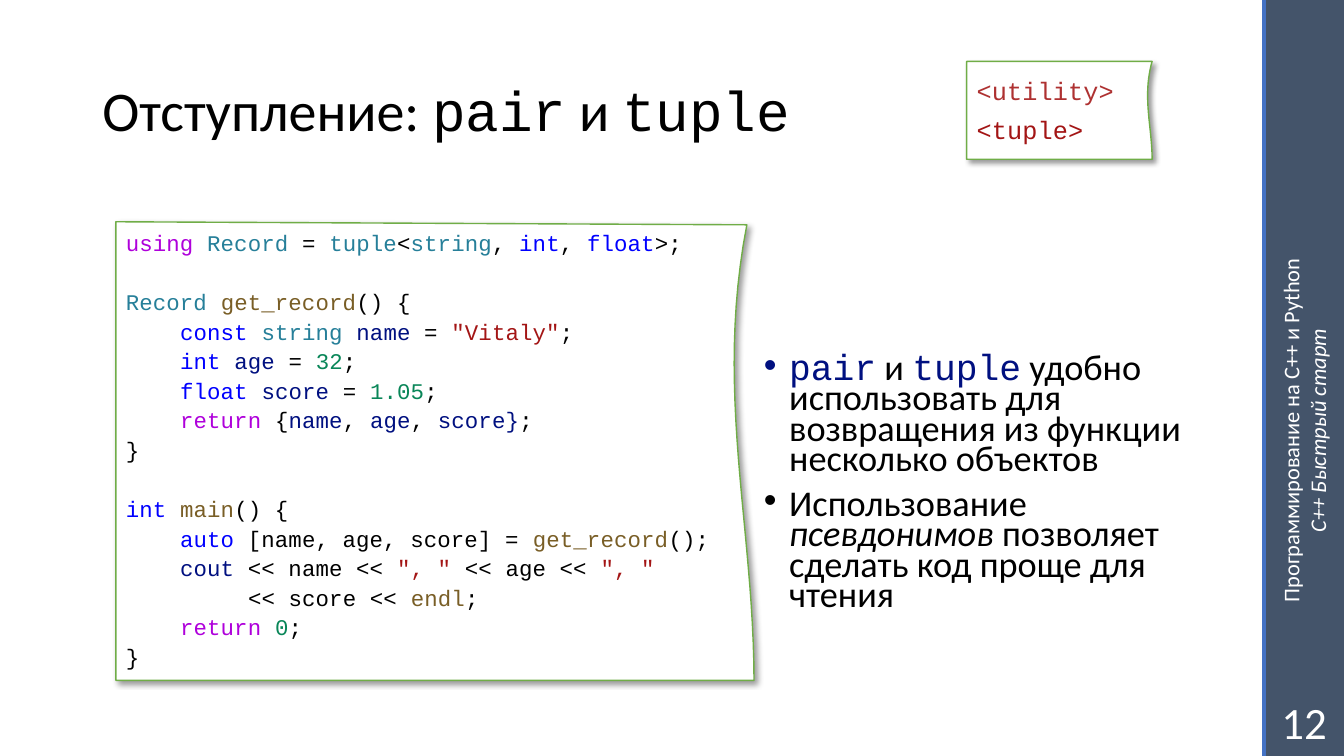
from dataclasses import dataclass

from lxml import etree
from pptx import Presentation
from pptx.dml.color import RGBColor
from pptx.enum.shapes import MSO_CONNECTOR, MSO_SHAPE
from pptx.enum.text import MSO_ANCHOR, PP_ALIGN
from pptx.oxml.ns import qn
from pptx.util import Pt

CENTER, LEFT = PP_ALIGN.CENTER, PP_ALIGN.LEFT
MIDDLE, TOP = MSO_ANCHOR.MIDDLE, MSO_ANCHOR.TOP
RECT, STRAIGHT = MSO_SHAPE.RECTANGLE, MSO_CONNECTOR.STRAIGHT


@dataclass(frozen=True)
class Theme:
    sans: str = "Calibri"
    mono: str = "Courier New"
    black: str = "000000"
    white: str = "FFFFFF"
    bar: str = "44546A"
    bar_edge: str = "4472C4"
    card_edge: str = "70AD47"
    control: str = "AF00DB"
    type: str = "267F99"
    keyword: str = "0000FF"
    function: str = "795E26"
    variable: str = "001080"
    literal: str = "A31515"
    header: str = "AE3131"
    number: str = "098658"
    title_size: float = 40
    number_size: float = 32
    body_size: float = 25.9
    header_size: float = 18
    code_size: float = 16
    side_size: float = 16
    tracking: float = 0.1


THEME = Theme()
SLIDE_W, SLIDE_H = 960, 540
BAR_X = 903
CURVE_STEPS = 24
MONO_ADVANCE, MONO_HEIGHT = 0.6, 1.2

TOKENS = {
    THEME.control: ["using", "return"],
    THEME.type: ["Record", "tuple", "string"],
    THEME.keyword: ["int", "float", "const", "auto"],
    THEME.function: ["get_record", "main", "endl"],
    THEME.variable: ["name", "age", "score", "score}", "cout"],
    THEME.literal: ['"Vitaly"', '", "', "<tuple>"],
    THEME.header: ["<utility>"],
    THEME.number: ["32", "1.05", "0"],
}
TOKEN_COLORS = {word: color for color, words in TOKENS.items() for word in words}

# Indent in characters, blank lines above, tokens separated by "|"
CODE = [
    (0, 0, "using |Record| = |tuple|<|string|, |int|, |float|>;"),
    (0, 1, "Record |get_record|() {"),
    (4, 0, 'const |string |name| = |"Vitaly"|;'),
    (4, 0, "int |age| = |32|;"),
    (4, 0, "float |score| = |1.05|;"),
    (4, 0, "return| {|name|, |age|, |score}|;"),
    (0, 0, "}"),
    (0, 1, "int |main|() {"),
    (4, 0, "auto| [name, age, score] = |get_record|();"),
    (4, 0, 'cout| << name << |", "| << age << |", "'),
    (9, 0, "<< score << |endl|;"),
    (4, 0, "return |0|;"),
    (0, 0, "}"),
]
HEADERS = [(0, 0, "<utility>"), (0, 0, "<tuple>")]

MONO = {"font": THEME.mono}
NAME = {"font": THEME.mono, "color": THEME.variable}
ITALIC = {"italic": True}
TITLE = [("Отступление: ", {}), ("pair", MONO), (" и ", {}), ("tuple", MONO)]
BULLETS = [
    [("pair", NAME), (" и ", {}), ("tuple", NAME),
     (" удобно использовать для возвращения из функции несколько объектов", {})],
    [("Использование ", {}), ("псевдонимов", ITALIC),
     (" позволяет сделать код проще для чтения", {})],
]
SIDE = [[("Программирование на C++ и Python", {})], [("C++ Быстрый старт", ITALIC)]]


def bezier(points, steps):
    """Points along a cubic curve, without its start."""
    a, b, c, d = points
    for i in range(1, steps + 1):
        t = i / steps
        u = 1 - t
        yield tuple(u**3 * p + 3 * u * u * t * q + 3 * u * t * t * r + t**3 * s
                    for p, q, r, s in zip(a, b, c, d))


class SlideBuilder:
    def __init__(self, slide, theme):
        self.slide, self.theme = slide, theme

    def bar(self, x, y, w, h):
        s = self.slide.shapes.add_shape(RECT, Pt(x), Pt(y), Pt(w), Pt(h))
        s.shadow.inherit = False
        s.fill.solid()
        s.fill.fore_color.rgb = RGBColor.from_string(self.theme.bar)
        s.line.fill.background()

    def line(self, x1, y1, x2, y2):
        s = self.slide.shapes.add_connector(STRAIGHT, Pt(x1), Pt(y1), Pt(x2), Pt(y2))
        s.line.color.rgb = RGBColor.from_string(self.theme.bar_edge)
        s.line.width = Pt(3)
        etree.SubElement(s._element.spPr, qn("a:effectLst"))

    def run(self, p, text, size, font=None, color=None, italic=False):
        r = p.add_run()
        r.text = text
        r.font.size = Pt(size)
        r.font.name = font or self.theme.sans
        r.font.color.rgb = RGBColor.from_string(color or self.theme.black)
        r.font.italic = italic
        return r

    def text(self, box, paragraphs, size, color=None, align=LEFT, anchor=TOP,
             spacing=1.0, rotation=0, bullets=False):
        s = self.slide.shapes.add_textbox(*map(Pt, box))
        s.rotation = rotation
        tf = s.text_frame
        tf.word_wrap = True
        tf.vertical_anchor = anchor
        for i, runs in enumerate(paragraphs):
            p = tf.add_paragraph() if i else tf.paragraphs[0]
            p.alignment = align
            p.line_spacing = spacing
            for text, style in runs:
                self.run(p, text, size, **{"color": color, **style})
            if bullets:
                p.space_before = Pt(10)
                self.bullet(p)

    def bullet(self, p):
        pPr = p._p.get_or_add_pPr()
        pPr.set("marL", str(Pt(18)))
        pPr.set("indent", str(-Pt(18)))
        etree.SubElement(pPr, qn("a:buFont"), typeface="Arial")
        etree.SubElement(pPr, qn("a:buChar"), char="•")

    def code_card(self, corner, side, lines, size, spacing):
        """White card whose right side is the cubic curve given by side."""
        left, top = corner
        bottom = side[-1][1]
        outline = [side[0], *bezier(side, CURVE_STEPS), (left, bottom)]
        builder = self.slide.shapes.build_freeform(Pt(left), Pt(top))
        builder.add_line_segments([(Pt(x), Pt(y)) for x, y in outline], close=True)
        s = builder.convert_to_shape()
        s.fill.solid()
        s.fill.fore_color.rgb = RGBColor.from_string(self.theme.white)
        s.line.color.rgb = RGBColor.from_string(self.theme.card_edge)
        s.line.width = Pt(1)
        self.drop_shadow(s)
        tf = s.text_frame
        tf.word_wrap = True
        tf.vertical_anchor = TOP
        advance = MONO_ADVANCE * size + self.theme.tracking
        for i, (indent, gap, tokens) in enumerate(lines):
            p = tf.add_paragraph() if i else tf.paragraphs[0]
            p.alignment = LEFT
            p.line_spacing = spacing
            p.space_before = Pt(gap * size * MONO_HEIGHT * spacing)
            p._p.get_or_add_pPr().set("marL", str(Pt(indent * advance)))
            for token in tokens.split("|"):
                r = self.run(p, token, size, self.theme.mono, TOKEN_COLORS.get(token.strip()))
                r.font._element.set("spc", str(round(self.theme.tracking * 100)))

    def drop_shadow(self, s):
        s.shadow.inherit = False
        effects = s._element.spPr.find(qn("a:effectLst"))
        shadow = etree.SubElement(effects, qn("a:outerShdw"), blurRad=str(Pt(4)),
                                  dist=str(Pt(3)), dir="2700000", algn="tl", rotWithShape="0")
        color = etree.SubElement(shadow, qn("a:srgbClr"), val=self.theme.black)
        etree.SubElement(color, qn("a:alpha"), val="40000")


def main():
    prs = Presentation()
    prs.slide_width, prs.slide_height = Pt(SLIDE_W), Pt(SLIDE_H)
    b = SlideBuilder(prs.slides.add_slide(prs.slide_layouts[6]), THEME)

    b.bar(BAR_X, 0, SLIDE_W - BAR_X, SLIDE_H)
    b.line(BAR_X, 0, BAR_X, SLIDE_H)
    b.text((746.6, 284.4, 370, 46), SIDE, THEME.side_size, THEME.white,
           align=CENTER, rotation=270)
    b.text((66, 28.8, 806, 104.4), [TITLE], THEME.title_size, anchor=MIDDLE, spacing=0.9)
    b.text((538.6, 250.6, 334, 210), BULLETS, THEME.body_size, spacing=0.7, bullets=True)
    b.text((BAR_X, 490.5, SLIDE_W - BAR_X, 49.5), [[("12", {})]], THEME.number_size,
           THEME.white, align=CENTER, anchor=MIDDLE)
    b.code_card((82.8, 158.4), [(533.5, 160.6), (510.5, 279.4), (538.6, 376.6), (538.6, 486)],
                CODE, THEME.code_size, 1.1)
    b.code_card((690.5, 43.9), [(823, 43.9), (815.8, 69.1), (823, 90.7), (823, 113.8)],
                HEADERS, THEME.header_size, 1.3)
    prs.save("out.pptx")


if __name__ == "__main__":
    main()
